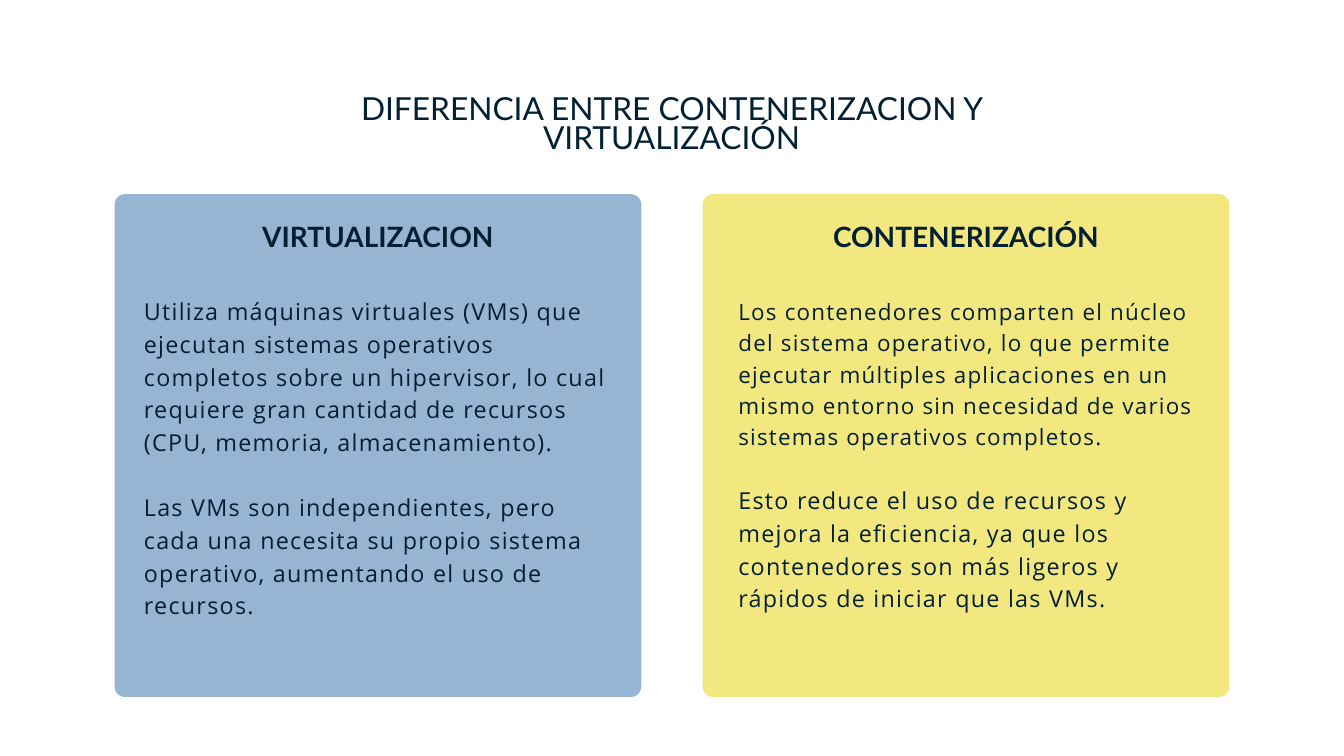
from dataclasses import dataclass

from pptx import Presentation
from pptx.dml.color import RGBColor
from pptx.enum.shapes import MSO_SHAPE
from pptx.enum.text import MSO_ANCHOR, MSO_AUTO_SIZE, PP_ALIGN
from pptx.util import Cm, Pt

ROUNDED = MSO_SHAPE.ROUNDED_RECTANGLE
TOP = MSO_ANCHOR.TOP
NO_FIT = MSO_AUTO_SIZE.NONE
LEFT, CENTER = PP_ALIGN.LEFT, PP_ALIGN.CENTER


@dataclass(frozen=True)
class Theme:
    ink: RGBColor = RGBColor.from_string("022033")
    paper: RGBColor = RGBColor.from_string("FFFFFF")
    blue: RGBColor = RGBColor.from_string("96B5D3")
    yellow: RGBColor = RGBColor.from_string("F3E780")
    head_font: str = "Lato"
    body_font: str = "Open Sans"
    title_size: float = 34
    title_line: float = 31.3
    heading_size: float = 30
    heading_line: float = 27.6
    body_size: float = 25
    small_body_size: float = 24
    body_leading: float = 1.4


THEME = Theme()

SLIDE_WIDTH, SLIDE_HEIGHT = 50.8, 28.58
CARD_LEFT, CARD_TOP, CARD_WIDTH, CARD_HEIGHT = 4.33, 7.34, 19.91, 19.01
CARD_RADIUS = 0.4
HEADING_INSET, HEADING_TOP, HEADING_HEIGHT = 0.57, 8.61, 1.04


def prepare_frame(frame):
    frame.word_wrap = True
    frame.auto_size = NO_FIT
    frame.vertical_anchor = TOP
    frame.margin_left = frame.margin_right = 0
    frame.margin_top = frame.margin_bottom = 0


def add_text_box(page, left, top, width, height):
    box = page.shapes.add_textbox(Cm(left), Cm(top), Cm(width), Cm(height))
    prepare_frame(box.text_frame)
    return box.text_frame


def write_para(para, text, font, size, line, align=LEFT, bold=False, tracking=0):
    para.alignment = align
    para.line_spacing = Pt(line)
    span = para.add_run()
    span.text = text
    span.font.name = font
    span.font.size = Pt(size)
    span.font.bold = bold
    span.font.color.rgb = THEME.ink
    if tracking:
        span.font._element.set("spc", str(round(tracking * 100)))


def write_title(page, text):
    title = page.shapes.title
    title.left, title.top = Cm(9.55), Cm(3.68)
    title.width, title.height = Cm(31.67), Cm(1.19)
    prepare_frame(title.text_frame)
    write_para(title.text_frame.paragraphs[0], text, THEME.head_font,
               THEME.title_size, THEME.title_line, CENTER)


def add_card(page, left, color, heading):
    card = page.shapes.add_shape(ROUNDED, Cm(left), Cm(CARD_TOP),
                                 Cm(CARD_WIDTH), Cm(CARD_HEIGHT))
    card.adjustments[0] = CARD_RADIUS / CARD_HEIGHT
    card.shadow.inherit = False
    card.fill.solid()
    card.fill.fore_color.rgb = color
    card.line.fill.background()
    frame = add_text_box(page, left + HEADING_INSET, HEADING_TOP,
                         CARD_WIDTH - 2 * HEADING_INSET, HEADING_HEIGHT)
    write_para(frame.paragraphs[0], heading, THEME.head_font,
               THEME.heading_size, THEME.heading_line, CENTER, bold=True)


def add_body(page, place, passages):
    frame = add_text_box(page, *place)
    gap = 0
    for index, (text, size, tracking) in enumerate(passages):
        para = frame.add_paragraph() if index else frame.paragraphs[0]
        para.space_before = Pt(gap)
        line = size * THEME.body_leading
        write_para(para, text, THEME.body_font, size, line, tracking=tracking)
        gap = line


def main():
    deck = Presentation()
    deck.slide_width, deck.slide_height = Cm(SLIDE_WIDTH), Cm(SLIDE_HEIGHT)
    page = deck.slides.add_slide(deck.slide_layouts[5])
    page.background.fill.solid()
    page.background.fill.fore_color.rgb = THEME.paper

    write_title(page, "DIFERENCIA ENTRE CONTENERIZACION Y VIRTUALIZACIÓN")

    add_card(page, CARD_LEFT, THEME.blue, "VIRTUALIZACION")
    add_body(page, (5.44, 11.07, 17.73, 12.12), [
        ("Utiliza máquinas virtuales (VMs) que ejecutan sistemas operativos "
         "completos sobre un hipervisor, lo cual requiere gran cantidad de "
         "recursos (CPU, memoria, almacenamiento).", THEME.body_size, 1.4),
        ("Las VMs son independientes, pero cada una necesita su propio sistema "
         "operativo, aumentando el uso de recursos.", THEME.body_size, 1.4),
    ])

    right_card_left = SLIDE_WIDTH - CARD_LEFT - CARD_WIDTH
    add_card(page, right_card_left, THEME.yellow, "CONTENERIZACIÓN")
    add_body(page, (27.91, 11.1, 17.2, 11.79), [
        ("Los contenedores comparten el núcleo del sistema operativo, lo que "
         "permite ejecutar múltiples aplicaciones en un mismo entorno sin "
         "necesidad de varios sistemas operativos completos.",
         THEME.small_body_size, 1.3),
        ("Esto reduce el uso de recursos y mejora la eficiencia, ya que los "
         "contenedores son más ligeros y rápidos de iniciar que las VMs.",
         THEME.body_size, 1.4),
    ])

    deck.save("out.pptx")


if __name__ == "__main__":
    main()
